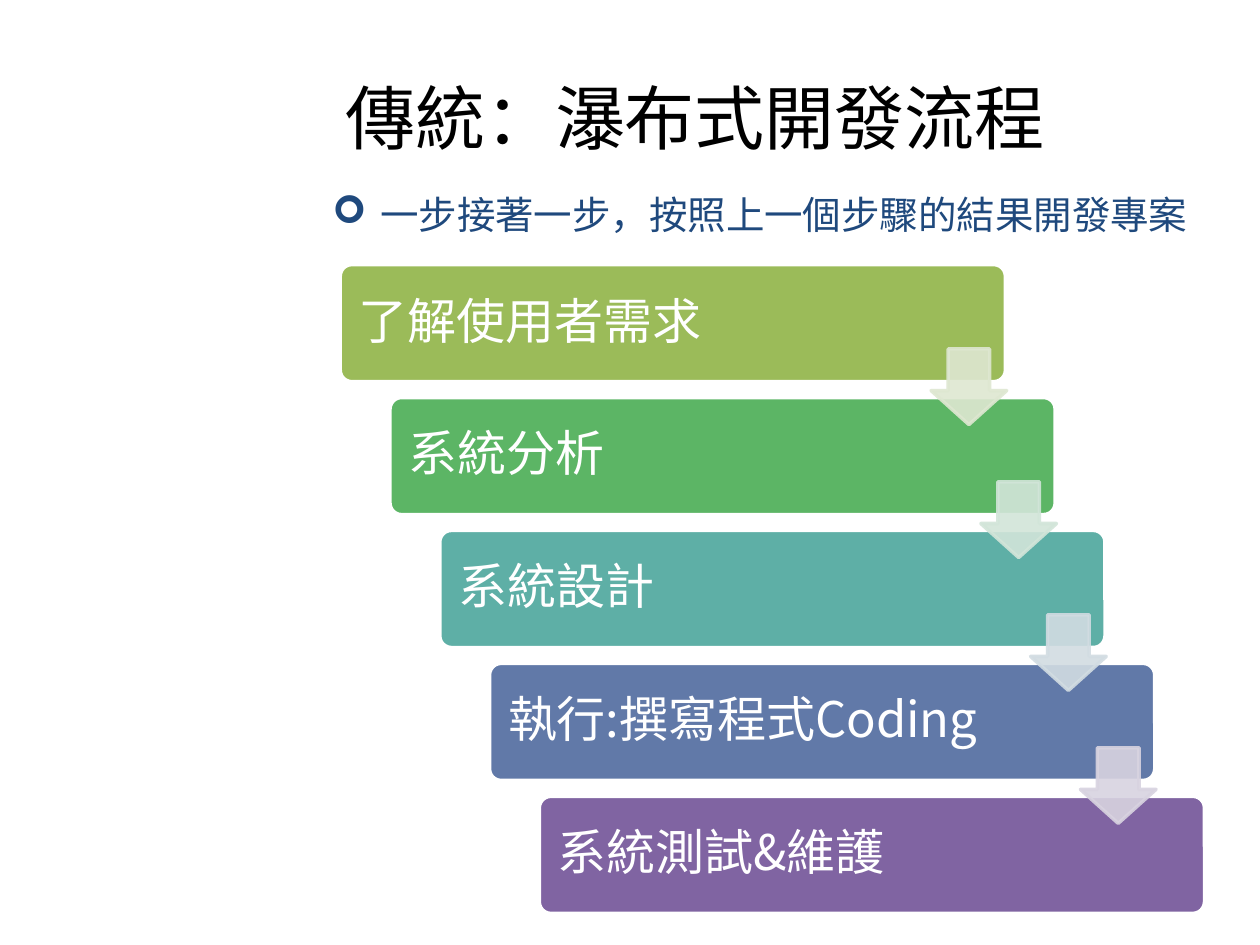
from dataclasses import dataclass

import pptx
import pptx.util
import pptx.dml.color
import pptx.enum.shapes
import pptx.enum.text
import pptx.oxml
import pptx.oxml.ns
from lxml import etree

Inches = pptx.util.Inches
Pt = pptx.util.Pt
qn = pptx.oxml.ns.qn
Shapes = pptx.enum.shapes.MSO_SHAPE
Align = pptx.enum.text.PP_ALIGN
Anchor = pptx.enum.text.MSO_ANCHOR


@dataclass(frozen=True)
class Theme:
    title_font: str = "Calibri"
    body_font: str = "Noto Sans CJK SC"
    title_size: int = 40
    subtitle_size: int = 22
    step_size: int = 28
    black: str = "000000"
    white: str = "FFFFFF"
    navy: str = "1F497D"
    steps: tuple = ("9BBB59", "5CB565", "5EAFA6", "6179A8", "8064A2")
    arrows: tuple = ("DEE7D1", "D2E5D9", "D2DCE2", "D8D3E0")
    arrow_opacity: int = 90


THEME = Theme()
STEPS = ("了解使用者需求", "系統分析", "系統設計", "執行:撰寫程式Coding", "系統測試&維護")


def rgb(color):
    return pptx.dml.color.RGBColor.from_string(color)


def style_paragraph(paragraph, font_name, size, color):
    paragraph.alignment = Align.LEFT
    font = paragraph.font
    font.name = font_name
    font.size = Pt(size)
    font.color.rgb = rgb(color)
    if font_name == THEME.body_font:
        properties = paragraph._p.get_or_add_pPr().find(qn("a:defRPr"))
        etree.SubElement(properties, qn("a:ea"), typeface=font_name)


def add_block(slide, preset, box, adjustments, fill, line):
    shape = slide.shapes.add_shape(preset, *box)
    shape.shadow.inherit = False
    for index, value in enumerate(adjustments):
        shape.adjustments[index] = value
    shape.fill.solid()
    shape.fill.fore_color.rgb = rgb(fill)
    shape.line.color.rgb = rgb(line)
    shape.line.width = Pt(2)
    return shape


def place_title(slide, box):
    title = slide.shapes.title
    title.left, title.top, title.width, title.height = box
    title.text_frame.text = "傳統：瀑布式開發流程"
    title.text_frame.vertical_anchor = Anchor.MIDDLE
    style_paragraph(title.text_frame.paragraphs[0], THEME.title_font, THEME.title_size, THEME.black)


def add_subtitle(slide, box):
    frame = slide.shapes.add_textbox(*box).text_frame
    frame.word_wrap = False
    frame.auto_size = pptx.enum.text.MSO_AUTO_SIZE.SHAPE_TO_FIT_TEXT
    paragraph = frame.paragraphs[0]
    paragraph.text = "一步接著一步，按照上一個步驟的結果開發專案"
    properties = paragraph._p.get_or_add_pPr()
    properties.set("marL", str(Inches(0.38)))
    properties.set("indent", str(-Inches(0.38)))
    etree.SubElement(properties, qn("a:buFont"), typeface="Wingdings")
    etree.SubElement(properties, qn("a:buChar"), char="➢")
    style_paragraph(paragraph, THEME.body_font, THEME.subtitle_size, THEME.navy)


def add_step(slide, box, text, color):
    shape = add_block(slide, Shapes.ROUNDED_RECTANGLE, box, (0.1,), color, THEME.white)
    frame = shape.text_frame
    frame.word_wrap = True
    frame.vertical_anchor = Anchor.MIDDLE
    frame.margin_left = frame.margin_top = frame.margin_bottom = Inches(0.12)
    frame.margin_right = Inches(1.11)
    paragraph = frame.paragraphs[0]
    paragraph.text = text
    paragraph.line_spacing = 0.9
    style_paragraph(paragraph, THEME.body_font, THEME.step_size, THEME.white)


def add_arrow(slide, box, color):
    arrow = add_block(slide, Shapes.DOWN_ARROW, box, (0.55, 0.45), color, color)
    for fill in arrow._element.spPr.iter(qn("a:srgbClr")):
        etree.SubElement(fill, qn("a:alpha"), val=str(THEME.arrow_opacity * 1000))


def add_waterfall(slide, box):
    left, top, width, height = box
    step_width, step_height = Inches(5.28), Inches(0.93)
    arrow_size = Inches(0.6)
    across = (width - step_width) / (len(STEPS) - 1)
    down = (height - step_height) / (len(STEPS) - 1)

    def offset(x, y, index):
        return int(x + across * index), int(y + down * index)

    for index, (text, color) in enumerate(zip(STEPS, THEME.steps)):
        add_step(slide, (*offset(left, top, index), step_width, step_height), text, color)
    for index, color in enumerate(THEME.arrows):
        corner = offset(left + Inches(4.69), top + Inches(0.67), index)
        add_arrow(slide, (*corner, arrow_size, arrow_size), color)


def main():
    presentation = pptx.Presentation()
    presentation.slide_width = Inches(10)
    presentation.slide_height = Inches(7.5)
    slide = presentation.slides.add_slide(presentation.slide_layouts[5])
    place_title(slide, (Inches(2.64), Inches(0.3), Inches(6.86), Inches(1.25)))
    add_waterfall(slide, (Inches(2.7), Inches(2.1), Inches(6.86), Inches(5.15)))
    add_subtitle(slide, (Inches(2.54), Inches(1.47), Inches(7.06), Inches(0.47)))
    presentation.save("out.pptx")


if __name__ == "__main__":
    main()
